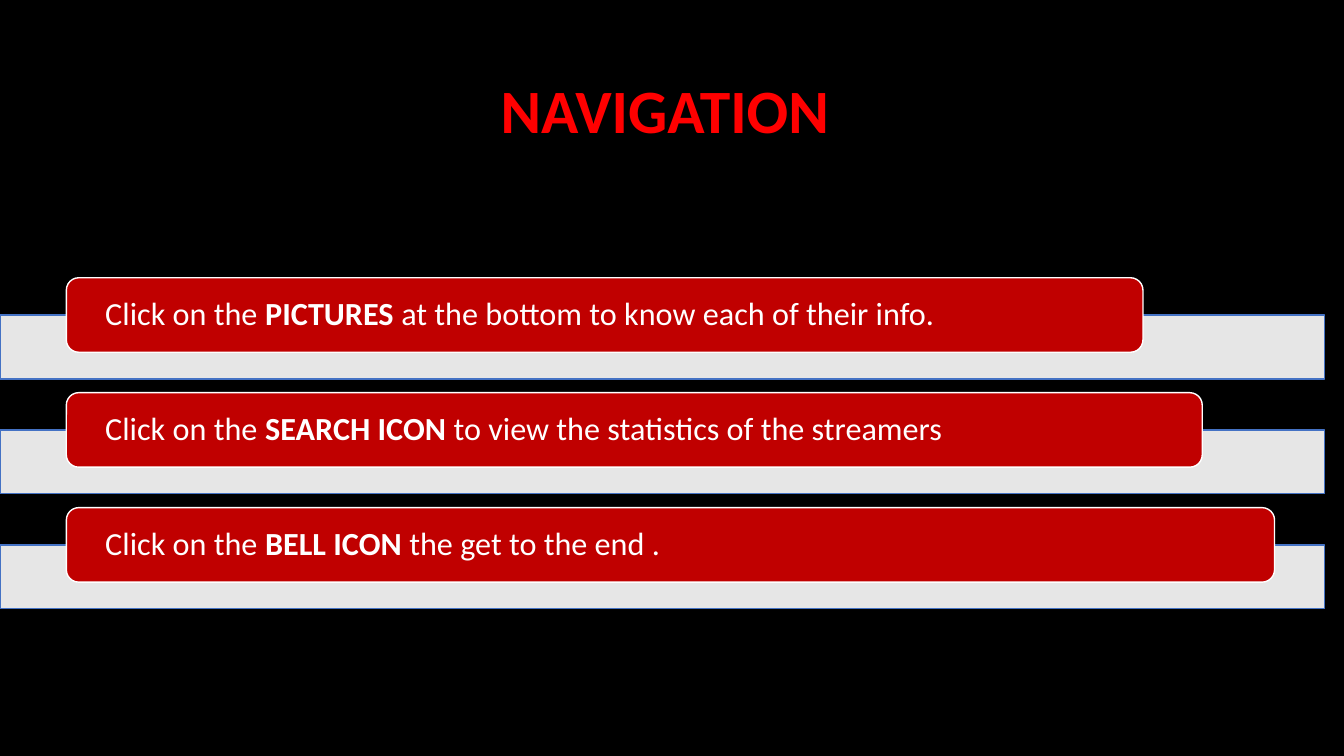
from lxml import etree
from pptx import Presentation
from pptx.dml.color import RGBColor
from pptx.enum.shapes import MSO_SHAPE
from pptx.enum.text import MSO_ANCHOR, PP_ALIGN
from pptx.oxml.ns import qn
from pptx.util import Pt

RECTANGLE, ROUNDED = MSO_SHAPE.RECTANGLE, MSO_SHAPE.ROUNDED_RECTANGLE
LEFT, CENTER, MIDDLE = PP_ALIGN.LEFT, PP_ALIGN.CENTER, MSO_ANCHOR.MIDDLE
COLORS = {"background": "000000", "title": "FF0000", "step": "C00000",
          "white": "FFFFFF", "bar_line": "4472C4"}


def add_box(kind, left, top, width, height, fill, line):
    box = slide.shapes.add_shape(kind, Pt(left), Pt(top), Pt(width), Pt(height))
    box.shadow.inherit = False
    box.fill.solid()
    box.fill.fore_color.rgb = RGBColor.from_string(COLORS[fill])
    box.line.color.rgb = RGBColor.from_string(COLORS[line])
    box.line.width = Pt(1)
    return box


def add_run(paragraph, text, size, color, bold):
    run = paragraph.add_run()
    run.text = text
    font_format = {"name": "Calibri", "size": Pt(size), "bold": bold}
    for attribute, value in font_format.items():
        setattr(run.font, attribute, value)
    run.font.color.rgb = RGBColor.from_string(COLORS[color])


# Slide and background
prs = Presentation()
prs.slide_width, prs.slide_height = Pt(960), Pt(540)
slide = prs.slides.add_slide(prs.slide_layouts[5])
slide.background.fill.solid()
slide.background.fill.fore_color.rgb = RGBColor.from_string(COLORS["background"])

# Title
title = slide.shapes.title
title_place = {"left": Pt(66), "top": Pt(28.8), "width": Pt(828), "height": Pt(104.4)}
for attribute, value in title_place.items():
    setattr(title, attribute, value)
title.text_frame.vertical_anchor = MIDDLE
heading = title.text_frame.paragraphs[0]
heading.alignment = CENTER
heading.line_spacing = 0.9
add_run(heading, "NAVIGATION ", 44, "title", True)

# Navigation steps: box width, then plain, bold and plain text
STEPS = [
    (769, "Click on the ", "PICTURES", " at the bottom to know each of their info."),
    (811.4, "Click on the ", "SEARCH ICON ", "to view the statistics of the streamers"),
    (863, "Click on the ", "BELL ICON ", "the get to the end ."),
]
FIRST_TOP, PITCH, BAR_DROP = 198.4, 82.1, 26.6
STEP_FRAME = {"margin_left": Pt(25.2), "margin_right": Pt(25.2), "margin_top": 0,
              "margin_bottom": 0, "vertical_anchor": MIDDLE, "word_wrap": True}

for index, (width, lead, target, rest) in enumerate(STEPS):
    top = FIRST_TOP + index * PITCH

    # Translucent bar behind the step
    bar = add_box(RECTANGLE, 0, top + BAR_DROP, 946, 45.6, "white", "bar_line")
    bar_color = bar.fill._xPr.find(qn("a:solidFill"))[0]
    etree.SubElement(bar_color, qn("a:alpha"), val="90000")

    # Step box and its text
    step = add_box(ROUNDED, 47.4, top, width, 53.2, "step", "white")
    for attribute, value in STEP_FRAME.items():
        setattr(step.text_frame, attribute, value)
    instruction = step.text_frame.paragraphs[0]
    instruction.alignment = LEFT
    instruction.line_spacing = 0.9
    for text, bold in ((lead, False), (target, True), (rest, False)):
        add_run(instruction, text, 23, "white", bold)

prs.save("out.pptx")
